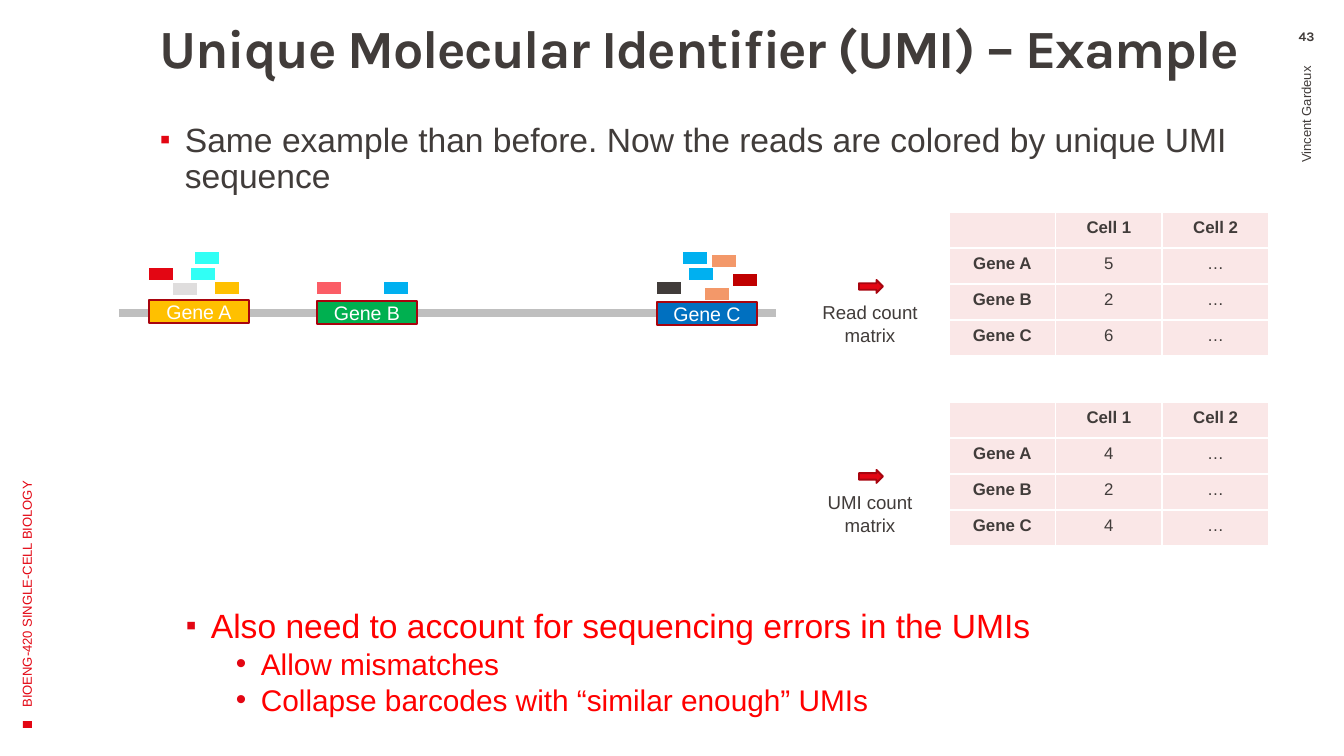
from lxml import etree
from pptx import Presentation
from pptx.dml.color import RGBColor
from pptx.enum import shapes, text
from pptx.oxml.ns import qn
from pptx.util import Emu, Pt

SCALE = 914400 / 134.4
COLORS = {
    "ink": "413C3A", "red": "E30613", "alert": "FF0000", "edge": "A8040E",
    "track": "BFBFBF", "cell": "FAE7E7", "white": "FFFFFF", "gold": "FFC000",
    "green": "00B050", "blue": "0070C0", "sky": "00B0F0", "cyan": "31FFF5",
    "grey": "DFDDDD", "pink": "FB5D66", "crimson": "C00000", "peach": "F39869",
}
GENES = [
    ("Gene A", "gold", 30, 48, [(0, 39, "red"), (24, 24, "grey"), (42, 39, "cyan"),
                                (66, 25, "gold"), (46, 55, "cyan")]),
    ("Gene B", "green", 198, 49, [(0, 25, "pink"), (67, 25, "sky")]),
    ("Gene C", "blue", 538, 50, [(0, 25, "ink"), (26, 55, "sky"), (32, 39, "sky"),
                                 (76, 33, "crimson"), (48, 19, "peach"), (55, 52, "peach")]),
]


def px(*lengths):
    """Turn px lengths into EMU."""
    return [Emu(round(length * SCALE)) for length in lengths]


def rgb(name):
    """Look up a colour by name."""
    return RGBColor.from_string(COLORS[name])


def style(para, size, color="ink", face="Arial", bold=False, align=text.PP_ALIGN.LEFT):
    """Set the alignment and font of a paragraph."""
    para.alignment = align
    para.font.size, para.font.name, para.font.bold = Pt(size), face, bold
    para.font.color.rgb = rgb(color)


def text_box(page, box, insets=(13, 7, 13, 7), anchor=text.MSO_ANCHOR.TOP):
    """Add an empty text box and return its frame and shape."""
    shape = page.shapes.add_textbox(*px(*box))
    frame = shape.text_frame
    frame.word_wrap, frame.vertical_anchor = True, anchor
    (frame.margin_left, frame.margin_top,
     frame.margin_right, frame.margin_bottom) = px(*insets)
    return frame, shape


def solid(page, kind, box, fill, edge=None):
    """Add a filled preset shape with an optional outline."""
    shape = page.shapes.add_shape(kind, *px(*box))
    shape.shadow.inherit = False
    shape.fill.solid()
    shape.fill.fore_color.rgb = rgb(fill)
    if edge:
        shape.line.color.rgb, shape.line.width = rgb(edge), Pt(1)
    else:
        shape.line.fill.background()
    return shape


def level_line(page, start, end, y, color, width):
    """Add a horizontal line."""
    line = page.shapes.add_connector(shapes.MSO_CONNECTOR.STRAIGHT, *px(start, y, end, y))
    line.line.color.rgb, line.line.width = rgb(color), Pt(width)
    etree.SubElement(line._element.spPr, qn("a:effectLst"))


def bullet(para, symbol, margin, percent):
    """Give a paragraph a red hanging bullet."""
    props = para._p.get_or_add_pPr()
    indent, hang = px(margin, -25)
    props.set("marL", str(indent))
    props.set("indent", str(hang))
    color = etree.SubElement(props, qn("a:buClr"))
    etree.SubElement(color, qn("a:srgbClr"), val=COLORS["red"])
    etree.SubElement(props, qn("a:buSzPct"), val=str(percent * 1000))
    etree.SubElement(props, qn("a:buFont"), typeface="Arial")
    etree.SubElement(props, qn("a:buChar"), char=symbol)


def draw_title(page, box, words):
    """Write the slide title."""
    frame, _ = text_box(page, box, (27, 0, 11, 7))
    para = frame.paragraphs[0]
    para.line_spacing = 0.8
    style(para, 28.8, face="Karla", bold=True)
    span = para.add_run()
    span.text = words
    span._r.get_or_add_rPr().set("spc", "-70")


def draw_bullets(page, box, lines, spacing, color):
    """Write bulleted lines, each given as words and level."""
    frame, _ = text_box(page, box, (27, 7, 13, 7))
    for index, (words, level) in enumerate(lines):
        para = frame.add_paragraph() if index else frame.paragraphs[0]
        para.text, para.level, para.line_spacing = words, level, spacing
        if index:
            para.space_before = Pt(3.8)
        bullet(para, *(("•", 75, 100) if level else ("▪", 25, 90)))
        style(para, 16 if level else 18, color)


def draw_side_text(page, box, words, color, align):
    """Write a small line that reads upwards."""
    frame, shape = text_box(page, box, anchor=text.MSO_ANCHOR.MIDDLE)
    shape.rotation = 270
    frame.text = words
    style(frame.paragraphs[0], 7, color, align=align)


def draw_page_number(page, box, number):
    """Write the page number."""
    frame, _ = text_box(page, box, (13, 0, 13, 0))
    frame.text = number
    style(frame.paragraphs[0], 7, face="Karla", bold=True, align=text.PP_ALIGN.CENTER)


def draw_genome(page, box):
    """Draw the genome track with its genes and the reads above them."""
    left, top, width, _ = box
    track = top + 61
    level_line(page, left, left + width, track, "track", 4.5)
    for name, fill, offset, drop, reads in GENES:
        start = left + offset
        gene = solid(page, shapes.MSO_SHAPE.RECTANGLE, (start, top + drop, 100, 23), fill, "edge")
        gene.text_frame.text = name
        gene.text_frame.vertical_anchor = text.MSO_ANCHOR.MIDDLE
        style(gene.text_frame.paragraphs[0], 10.5, "white", align=text.PP_ALIGN.CENTER)
        for shift, rise, color in reads:
            level_line(page, start + shift + 24, start + shift, track - rise, color, 6)


def fill_cell(cell, words, bold):
    """Fill, border and write one table cell."""
    props = cell._tc.get_or_add_tcPr()
    for side in ("lnL", "lnR", "lnT", "lnB"):
        border = etree.SubElement(props, qn(f"a:{side}"), w=str(Pt(1)))
        paint = etree.SubElement(border, qn("a:solidFill"))
        etree.SubElement(paint, qn("a:srgbClr"), val=COLORS["white"])
    cell.fill.solid()
    cell.fill.fore_color.rgb = rgb("cell")
    para = cell.text_frame.paragraphs[0]
    para.text = words
    style(para, 9, bold=bold, align=text.PP_ALIGN.CENTER)
    if not words:
        etree.SubElement(para._p, qn("a:endParaRPr"), sz="900")


def draw_matrix(page, box, label, counts):
    """Draw an arrow, its label and a table of counts per gene."""
    left, top, width, height = box
    solid(page, shapes.MSO_SHAPE.RIGHT_ARROW, (left + 50, top + 68, 24, 13), "red", "edge")
    frame, _ = text_box(page, (left, top + 82, 122, 59))
    frame.word_wrap = False
    frame.text = "\n".join(label)
    for para in frame.paragraphs:
        style(para, 10, align=text.PP_ALIGN.CENTER)

    rows = [("", "Cell 1", "Cell 2")]
    rows += [(gene[0], count, "…") for gene, count in zip(GENES, counts)]
    area = (left + 140, top, width - 140, height)
    table = page.shapes.add_table(len(rows), 3, *px(*area)).table
    table.first_row = table.horz_banding = False
    for y, row in enumerate(rows):
        for x, words in enumerate(row):
            fill_cell(table.cell(y, x), words, x == 0 or y == 0)


def main():
    """Build the deck."""
    deck = Presentation()
    deck.slide_width, deck.slide_height = px(1344, 756)
    page = deck.slides.add_slide(deck.slide_layouts[6])
    solid(page, shapes.MSO_SHAPE.RECTANGLE, (24, 720, 7, 9), "red").rotation = 270
    draw_bullets(page, (133, 116, 1126, 613), [
        ("Same example than before. Now the reads are colored by unique UMI sequence", 0),
    ], 0.9, "ink")
    draw_title(page, (133, 27, 1126, 63), "Unique Molecular Identifier (UMI) – Example")
    draw_side_text(page, (-219, 448, 491, 54), "BIOENG-420 SINGLE-CELL BIOLOGY", "red",
                   text.PP_ALIGN.LEFT)
    draw_side_text(page, (1046, 276, 520, 75), "Vincent Gardeux", "ink", text.PP_ALIGN.RIGHT)
    draw_page_number(page, (1269, 28, 75, 24), "43")
    draw_genome(page, (119, 252, 657, 73))
    draw_matrix(page, (809, 212, 460, 144), ("Read count", "matrix"), "526")
    draw_matrix(page, (809, 402, 460, 144), ("UMI count", "matrix"), "424")
    draw_bullets(page, (159, 606, 1126, 121), [
        ("Also need to account for sequencing errors in the UMIs", 0),
        ("Allow mismatches", 1),
        ("Collapse barcodes with “similar enough” UMIs", 1),
    ], 0.8, "alert")
    deck.save("out.pptx")


if __name__ == "__main__":
    main()
